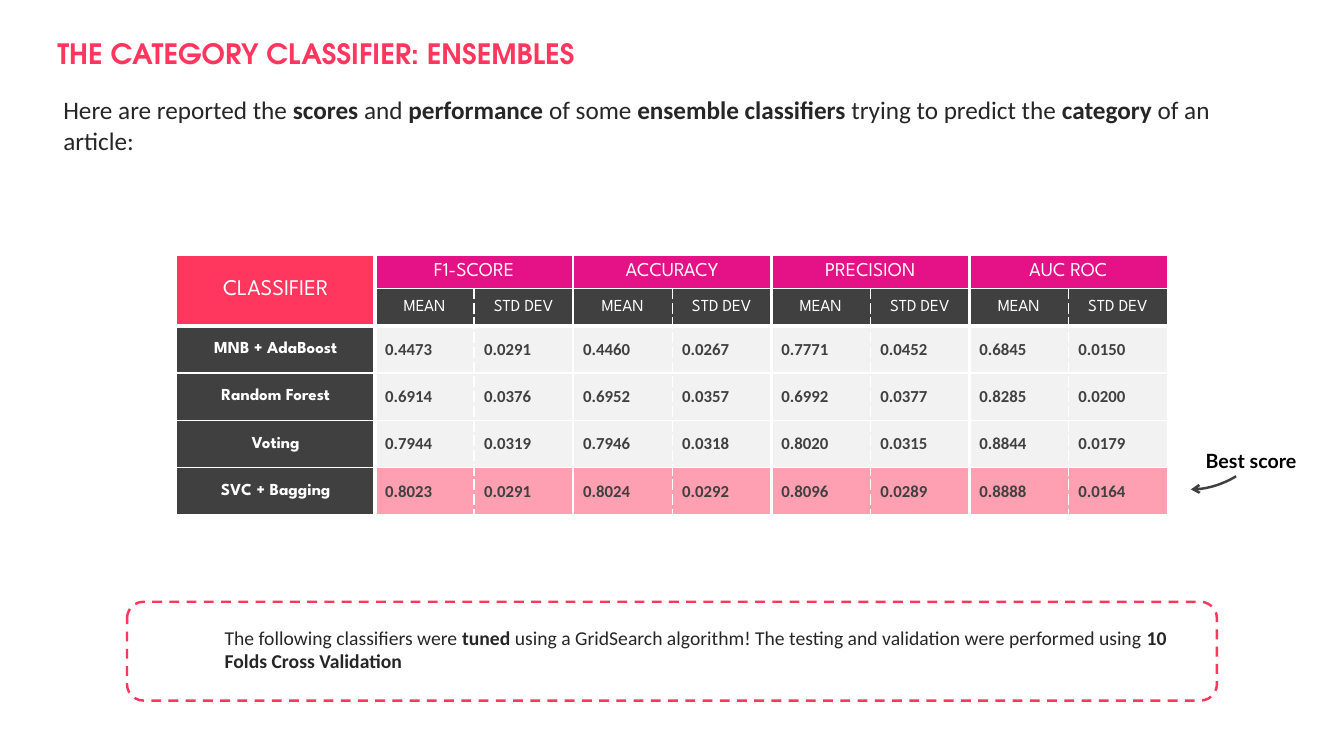
from dataclasses import dataclass

from lxml import etree
from pptx import Presentation
from pptx.dml.color import RGBColor
from pptx.enum import dml, shapes, text
from pptx.oxml import ns
from pptx.util import Inches, Pt

CORAL = RGBColor(0xFF, 0x36, 0x5D)
MAGENTA = RGBColor(0xE5, 0x11, 0x87)
CHARCOAL = RGBColor(0x40, 0x40, 0x40)
INK = RGBColor(0x26, 0x26, 0x26)
PALE = RGBColor(0xF2, 0xF2, 0xF2)
WHITE = RGBColor(0xFF, 0xFF, 0xFF)
BLACK = RGBColor(0x00, 0x00, 0x00)

METRICS = ("F1-SCORE", "ACCURACY", "PRECISION", "AUC ROC")
SCORES = {
    "MNB + AdaBoost": "0.4473 0.0291 0.4460 0.0267 0.7771 0.0452 0.6845 0.0150",
    "Random Forest": "0.6914 0.0376 0.6952 0.0357 0.6992 0.0377 0.8285 0.0200",
    "Voting": "0.7944 0.0319 0.7946 0.0318 0.8020 0.0315 0.8844 0.0179",
    "SVC + Bagging": "0.8023 0.0291 0.8024 0.0292 0.8096 0.0289 0.8888 0.0164",
}
BEST = "SVC + Bagging"
ROW_HEIGHTS = (0.33, 0.36) + (0.47,) * len(SCORES)
COLUMN_COUNT = 1 + 2 * len(METRICS)


@dataclass(frozen=True)
class TextStyle:
    size: float
    name: str
    color: RGBColor
    bold: bool = False
    centered: bool = False


@dataclass(frozen=True)
class Caption:
    left: float
    top: float
    width: float
    height: float
    wording: str
    style: TextStyle
    line_spacing: float | None = None


@dataclass(frozen=True)
class ScoreCell:
    row: int
    column: int
    wording: str
    fill: RGBColor
    style: TextStyle
    rows: int = 1
    columns: int = 1
    alpha: int | None = None


CORNER = TextStyle(16, "League Spartan", WHITE, centered=True)
METRIC = TextStyle(14, "League Spartan", WHITE, centered=True)
MEASURE = TextStyle(12, "League Spartan", WHITE, centered=True)
CLASSIFIER = TextStyle(12, "League Spartan", WHITE, bold=True, centered=True)
SCORE = TextStyle(12, "Calibri", CHARCOAL, bold=True)

CAPTIONS = (
    Caption(0.47, 0.31, 9.72, 0.44, "THE CATEGORY CLASSIFIER: ENSEMBLES",
            TextStyle(20, "TeX Gyre Adventor", CORAL, bold=True)),
    Caption(0.53, 0.89, 11.87, 0.71,
            "Here are reported the **scores** and **performance** of some "
            "**ensemble classifiers **trying to predict the **category** of an article:",
            TextStyle(18, "Calibri", INK)),
    Caption(2.13, 6.16, 9.84, 0.57,
            "The following classifiers were **tuned **using a GridSearch algorithm! "
            "The testing and validation were performed using **10 Folds Cross Validation**",
            TextStyle(14, "Calibri", INK)),
    Caption(11.86, 4.29, 1.26, 0.42, "Best score",
            TextStyle(14, "Lato", BLACK, bold=True), 1.5),
)


def write_text(paragraph, wording: str, style: TextStyle) -> None:
    for index, part in enumerate(wording.split("**")):
        if part:
            run = paragraph.add_run()
            run.text = part
            if index % 2:
                run.font.bold = True
    if style.centered:
        paragraph.alignment = text.PP_ALIGN.CENTER
    font = paragraph.font
    font.size, font.name, font.bold = Pt(style.size), style.name, style.bold
    font.color.rgb = style.color


def add_caption(slide, caption: Caption) -> None:
    box = slide.shapes.add_textbox(Inches(caption.left), Inches(caption.top),
                                   Inches(caption.width), Inches(caption.height))
    frame = box.text_frame
    frame.word_wrap = True
    frame.auto_size = text.MSO_AUTO_SIZE.SHAPE_TO_FIT_TEXT
    paragraph = frame.paragraphs[0]
    if caption.line_spacing:
        paragraph.line_spacing = caption.line_spacing
    write_text(paragraph, caption.wording, caption.style)


def column_edge(column: int) -> tuple[float, str]:
    if column in (0, COLUMN_COUNT):
        return 1, "solid"
    if column == 1:
        return 3, "solid"
    return (2.25, "solid") if column % 2 else (1, "sysDash")


def row_edge(row: int) -> tuple[float, str]:
    return (3 if row == 2 else 1), "solid"


def add_border(cell, side: str, edge: tuple[float, str]) -> None:
    width, dash = edge
    properties = cell._tc.get_or_add_tcPr()
    line = etree.SubElement(properties, ns.qn(f"a:ln{side}"), w=str(Pt(width)))
    fill = etree.SubElement(line, ns.qn("a:solidFill"))
    etree.SubElement(fill, ns.qn("a:srgbClr"), val=str(WHITE))
    etree.SubElement(line, ns.qn("a:prstDash"), val=dash)


def score_cells() -> list[ScoreCell]:
    cells = [ScoreCell(0, 0, "CLASSIFIER", CORAL, CORNER, rows=2)]
    for index, metric in enumerate(METRICS):
        column = 1 + 2 * index
        cells.append(ScoreCell(0, column, metric, MAGENTA, METRIC, columns=2))
        for offset, measure in enumerate(("MEAN", "STD DEV")):
            cells.append(ScoreCell(1, column + offset, measure, CHARCOAL, MEASURE))
    for row, (classifier, scores) in enumerate(SCORES.items(), start=2):
        cells.append(ScoreCell(row, 0, classifier, CHARCOAL, CLASSIFIER))
        fill, alpha = (CORAL, 47) if classifier == BEST else (PALE, None)
        for column, score in enumerate(scores.split(), start=1):
            cells.append(ScoreCell(row, column, score, fill, SCORE, alpha=alpha))
    return cells


def fill_cell(table, item: ScoreCell) -> None:
    cell = table.cell(item.row, item.column)
    last_row, last_column = item.row + item.rows, item.column + item.columns
    if item.rows > 1 or item.columns > 1:
        corner = table.cell(last_row - 1, last_column - 1)
        cell.merge(corner)
        write_text(corner.text_frame.paragraphs[0], "", MEASURE)
    cell.vertical_anchor = text.MSO_ANCHOR.MIDDLE
    write_text(cell.text_frame.paragraphs[0], item.wording, item.style)
    add_border(cell, "L", column_edge(item.column))
    add_border(cell, "R", column_edge(last_column))
    add_border(cell, "T", row_edge(item.row))
    add_border(cell, "B", row_edge(last_row))
    cell.fill.solid()
    cell.fill.fore_color.rgb = item.fill
    if item.alpha:
        color = cell._tc.tcPr.find(ns.qn("a:solidFill"))[0]
        etree.SubElement(color, ns.qn("a:alpha"), val=str(item.alpha * 1000))


def add_score_table(slide) -> None:
    frame = slide.shapes.add_table(len(ROW_HEIGHTS), COLUMN_COUNT, Inches(1.75), Inches(2.53),
                                   Inches(9.83), Inches(sum(ROW_HEIGHTS)))
    table = frame.table
    table.first_row = table.horz_banding = False
    for column in table.columns:
        column.width = Inches(7.86) // (COLUMN_COUNT - 1)
    table.columns[0].width = Inches(1.97)
    for row, height in zip(table.rows, ROW_HEIGHTS):
        row.height = Inches(height)
    for item in score_cells():
        fill_cell(table, item)


def add_outline(slide, kind, left: float, top: float, width: float, height: float,
                color: RGBColor):
    shape = slide.shapes.add_shape(kind, Inches(left), Inches(top), Inches(width), Inches(height))
    shape.shadow.inherit = False
    shape.fill.background()
    shape.line.color.rgb = color
    shape.line.width = Pt(1.75)
    return shape


def add_best_arrow(slide) -> None:
    arrow = add_outline(slide, shapes.MSO_SHAPE.ARC, 11.56, 4.34, 0.95, 0.47, CHARCOAL)
    arrow.adjustments[0], arrow.adjustments[1] = 125.74, 182.73
    arrow.rotation = 338.3
    arrow._element.spPr.xfrm.set("flipV", "1")
    etree.SubElement(arrow.line._get_or_add_ln(), ns.qn("a:headEnd"), type="arrow")


def main() -> None:
    presentation = Presentation()
    presentation.slide_width, presentation.slide_height = Inches(13.33), Inches(7.5)
    slide = presentation.slides.add_slide(presentation.slide_layouts[6])
    for caption in CAPTIONS:
        add_caption(slide, caption)
    note_frame = add_outline(slide, shapes.MSO_SHAPE.ROUNDED_RECTANGLE,
                             1.26, 5.97, 10.81, 0.98, CORAL)
    note_frame.line.dash_style = dml.MSO_LINE.DASH
    add_score_table(slide)
    add_best_arrow(slide)
    presentation.save("out.pptx")


if __name__ == "__main__":
    main()
